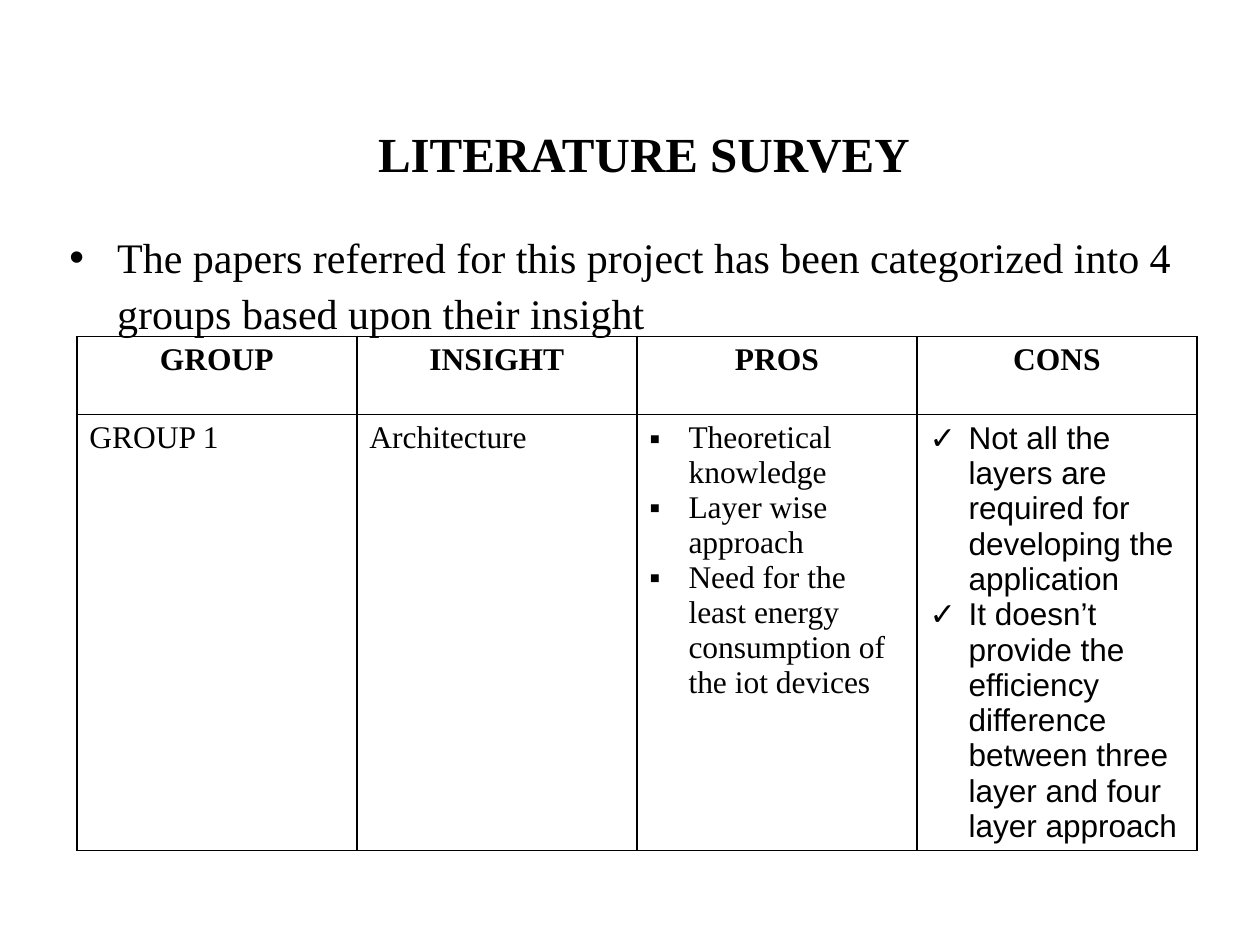
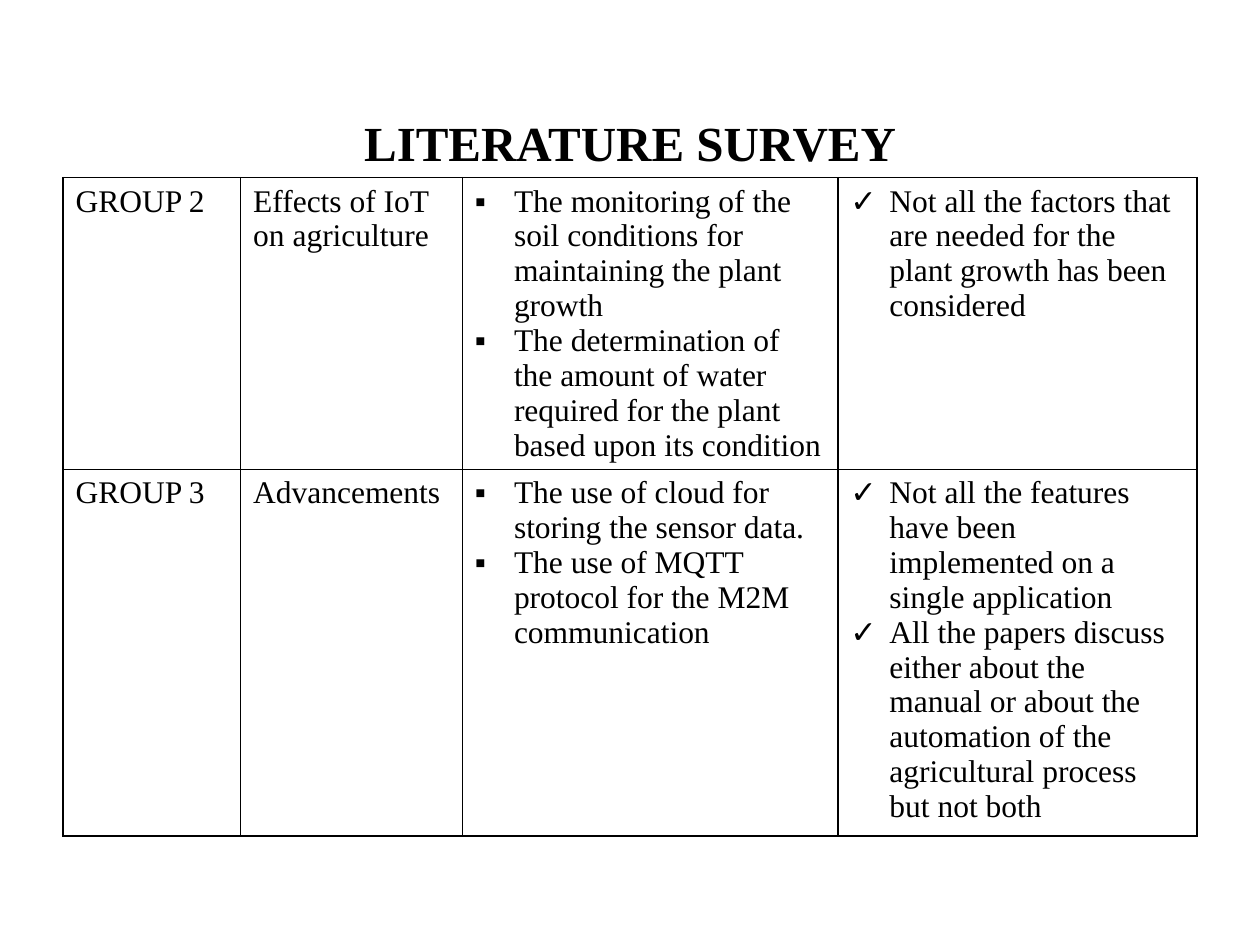
from lxml import etree
from pptx import Presentation
from pptx import util as u
from pptx.dml.color import RGBColor
from pptx.enum import text as t
from pptx.oxml.ns import qn

INK = "000000"
SERIF = "Times New Roman"
SANS = "Arial"


def write(para, words, size, font=SERIF, bold=False, ink=INK, mark=None, indent=0.31):
    run = para.add_run()
    run.text = words
    run.font.size = u.Pt(size)
    run.font.name = font
    run.font.bold = bold
    run.font.color.rgb = RGBColor.from_string(ink)
    if mark:
        props = para._p.get_or_add_pPr()
        props.set("marL", str(u.Inches(indent)))
        props.set("indent", str(-u.Inches(indent)))
        etree.SubElement(props, qn("a:buFont"), typeface=SANS)
        etree.SubElement(props, qn("a:buChar"), char=mark)


def place(holder, left, top, width, height):
    holder.left, holder.top = u.Inches(left), u.Inches(top)
    holder.width, holder.height = u.Inches(width), u.Inches(height)
    frame = holder.text_frame
    frame.margin_left = frame.margin_right = u.Inches(0.05)
    frame.margin_top = frame.margin_bottom = u.Inches(0.05)
    frame.vertical_anchor = t.MSO_ANCHOR.TOP
    frame.auto_size = t.MSO_AUTO_SIZE.NONE
    frame.word_wrap = True
    para = frame.paragraphs[0]
    para.line_spacing = 1.1
    return para


pages = [
    {
        "layout": 1,
        "title": (0.61, 0.88),
        "intro": "The papers referred for this project has been categorized into 4 "
                 "groups based upon their insight",
        "table": (0.61, 2.67),
        "cols": [8.89 / 4] * 4,
        "heights": [0.62, 2.88],
        "head": ["GROUP", "INSIGHT", "PROS", "CONS"],
        "fonts": [SERIF, SERIF, SERIF, SANS],
        "rows": [
            [
                ["GROUP 1"],
                ["Architecture"],
                ["Theoretical knowledge",
                 "Layer wise approach",
                 "Need for the least energy consumption of the iot devices"],
                ["Not all the layers are required for developing the application",
                 "It doesn’t provide the efficiency difference between three layer "
                 "and four layer approach"],
            ],
        ],
    },
    {
        "layout": 5,
        "title": (0.5, 0.8),
        "intro": None,
        "table": (0.5, 1.41),
        "cols": [1.41, 1.76, 2.98, 2.85],
        "heights": [1.72, 2.91],
        "head": None,
        "fonts": [SERIF] * 4,
        "rows": [
            [
                ["GROUP 2"],
                ["Effects of IoT on agriculture"],
                ["The monitoring of the soil conditions for maintaining the plant growth",
                 "The determination of the amount of water required for the plant "
                 "based upon its condition"],
                ["Not all the factors that are needed for the plant growth "
                 "has been considered"],
            ],
            [
                ["GROUP 3"],
                ["Advancements"],
                ["The use of cloud for storing the sensor data.",
                 "The use of MQTT protocol for the M2M communication"],
                ["Not all the features have been implemented on a single application",
                 "All the papers discuss either about the manual or about the "
                 "automation of the agricultural process but not both"],
            ],
        ],
    },
]
marks = [None, None, "▪", "✓"]

deck = Presentation()
deck.slide_width, deck.slide_height = u.Inches(10), u.Inches(7.5)

for page in pages:
    slide = deck.slides.add_slide(deck.slide_layouts[page["layout"]])

    para = place(slide.shapes.title, *page["title"], 9, 1.25)
    para.alignment = t.PP_ALIGN.CENTER
    write(para, "LITERATURE SURVEY", 28, bold=True)

    if page["intro"]:
        para = place(slide.placeholders[1], 0.5, 1.75, 9, 4.95)
        para.space_before = u.Pt(7)
        write(para, page["intro"], 24, mark="•", indent=0.38)

    left, top = page["table"]
    grid = slide.shapes.add_table(
        len(page["heights"]), 4, u.Inches(left), u.Inches(top),
        u.Inches(sum(page["cols"])), u.Inches(sum(page["heights"]))).table
    grid.first_row = grid.horz_banding = False
    for col, width in zip(grid.columns, page["cols"]):
        col.width = u.Inches(width)
    for row, height in zip(grid.rows, page["heights"]):
        row.height = u.Inches(height)

    for cell in grid.iter_cells():
        props = cell._tc.get_or_add_tcPr()
        for side in ("a:lnL", "a:lnR", "a:lnT", "a:lnB"):
            line = etree.SubElement(props, qn(side), w=str(u.Pt(1)))
            fill = etree.SubElement(line, qn("a:solidFill"))
            etree.SubElement(fill, qn("a:srgbClr"), val=INK)
        cell.fill.background()

    first = 0
    if page["head"]:
        first = 1
        for c, label in enumerate(page["head"]):
            para = grid.cell(0, c).text_frame.paragraphs[0]
            para.alignment = t.PP_ALIGN.CENTER
            write(para, label, 18, bold=True)

    for r, row in enumerate(page["rows"], first):
        for c, items in enumerate(row):
            frame = grid.cell(r, c).text_frame
            for n, item in enumerate(items):
                para = frame.add_paragraph() if n else frame.paragraphs[0]
                write(para, item, 18, page["fonts"][c], mark=marks[c])

deck.save("out.pptx")
